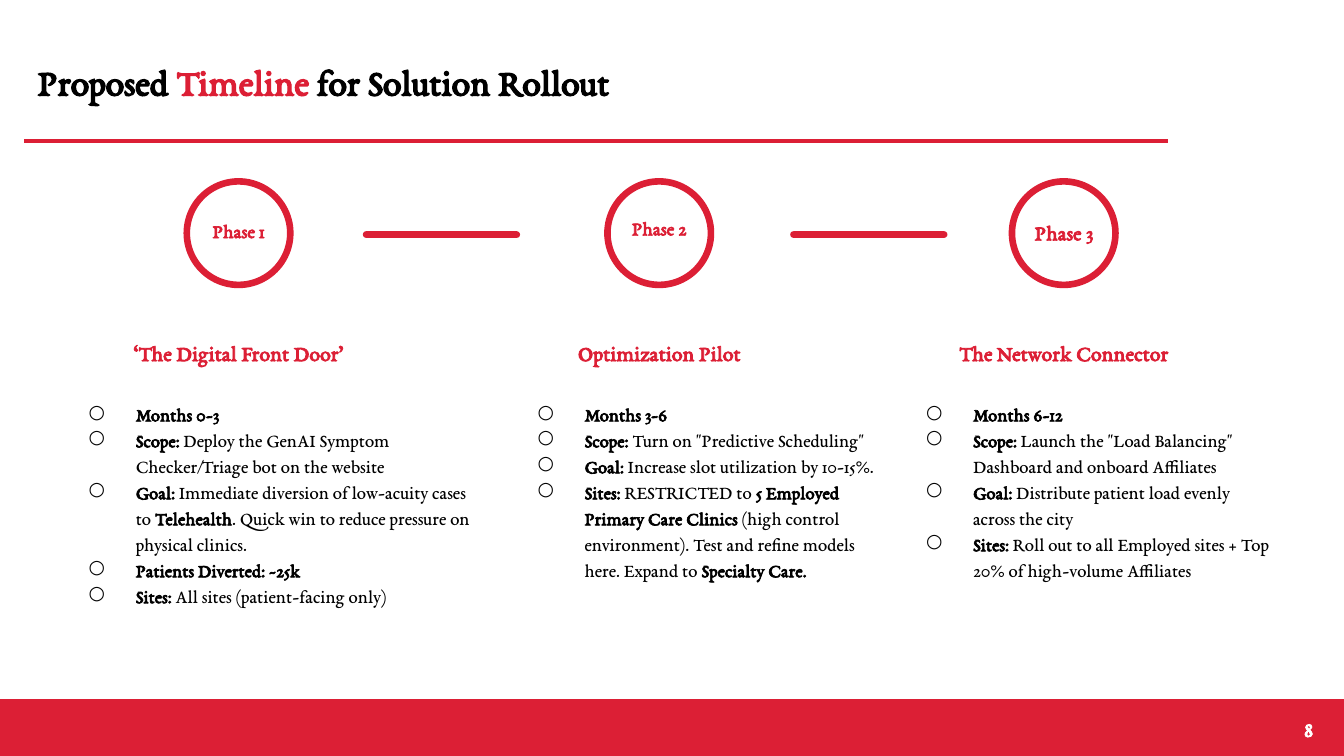
from lxml.etree import SubElement
from pptx import Presentation
from pptx.dml.color import RGBColor
from pptx.enum.shapes import MSO_CONNECTOR as Link, MSO_SHAPE as Shape
from pptx.enum.text import MSO_ANCHOR as Anchor, MSO_AUTO_SIZE as Fit, PP_ALIGN as Align
from pptx.oxml.ns import qn
from pptx.util import Inches, Pt

WIDE = 10
HIGH = WIDE * 9 / 16
CELL = WIDE / 100
COLS, ROWS = 100, HIGH / CELL
RED, BLACK, WHITE = "DC1F35", "000000", "FFFFFF"
FACE = "EB Garamond"
RING = 7.7
DASH = 11.7

PHASES = [
    dict(mid=17.75, name="Phase 1", drop=1.3, size=10.5, head="‘The Digital Front Door’",
         body=(-2.3, 38.8), items=[
             "*Months 0-3*",
             "*Scope:* Deploy the GenAI Symptom Checker/Triage bot on the website",
             "*Goal:* Immediate diversion of low-acuity cases to *Telehealth*. "
             "Quick win to reduce pressure on physical clinics.",
             "*Patients Diverted: ~25k*",
             "*Sites:* All sites (patient-facing only)"]),
    dict(mid=49.05, name="Phase 2", drop=1.1, size=10.5, head="Optimization Pilot",
         body=(31.1, 35.8), items=[
             "*Months 3-6*",
             "*Scope:* Turn on \"Predictive Scheduling\"",
             "*Goal:* Increase slot utilization by 10-15%.",
             "*Sites:* RESTRICTED to *5 Employed Primary Care Clinics* (high control "
             "environment). Test and refine models here. Expand to *Specialty Care.*"]),
    dict(mid=79.15, name="Phase 3", drop=1.3, size=11.5, head="The Network Connector",
         body=(60, 35.8), items=[
             "*Months 6-12*",
             "*Scope:* Launch the \"Load Balancing\" Dashboard and onboard Affiliates",
             "*Goal:* Distribute patient load evenly across the city",
             "*Sites:* Roll out to all Employed sites + Top 20% of high-volume Affiliates"]),
]


def grid(*cells):
    """Turn grid cells into slide lengths."""
    return [Inches(n * CELL) for n in cells]


def tint(code):
    """Turn a hex string into a colour."""
    return RGBColor.from_string(code)


def bullet(para):
    """Give a paragraph a hanging ring bullet."""
    para.level = 1
    props = para._p.get_or_add_pPr()
    props.set("marL", str(Inches(1.12)))
    props.set("indent", str(Inches(-0.35)))
    SubElement(SubElement(props, qn("a:buClr")), qn("a:srgbClr"), val=BLACK)
    SubElement(props, qn("a:buFont"), typeface=FACE)
    SubElement(props, qn("a:buChar"), char="○")


def write(shape, *lines, size=12, color=BLACK, mark=None, bold=True, align=Align.LEFT,
          anchor=Anchor.TOP, pad=0.12, space=1.15, wrap=True, dots=False):
    """Fill a shape with lines; starred parts turn bold and take the mark colour."""
    frame = shape.text_frame
    frame.auto_size = Fit.NONE
    frame.word_wrap = wrap
    frame.vertical_anchor = anchor
    frame.margin_left = frame.margin_right = Inches(pad)
    frame.margin_top = frame.margin_bottom = Inches(pad)
    for i, line in enumerate(lines):
        para = frame.add_paragraph() if i else frame.paragraphs[0]
        if dots:
            bullet(para)
        para.alignment = align
        para.line_spacing = space
        para.space_before = para.space_after = Pt(0)
        for j, part in enumerate(line.split("*")):
            if part:
                run = para.add_run()
                run.text = part
                font = run.font
                font.name, font.size = FACE, Pt(size)
                font.bold = bold or j % 2 == 1
                font.color.rgb = tint(mark if mark and j % 2 else color)


def label(slide, box, *lines, **form):
    """Add a text box with formatted lines."""
    write(slide.shapes.add_textbox(*grid(*box)), *lines, **form)


def solid(slide, kind, box, fill=RED, line=None):
    """Add a preset shape with a red fill or a red outline."""
    shape = slide.shapes.add_shape(kind, *grid(*box))
    shape.shadow.inherit = False
    if fill:
        shape.fill.solid()
        shape.fill.fore_color.rgb = tint(fill)
    else:
        shape.fill.background()
    if line:
        shape.line.color.rgb = tint(RED)
        shape.line.width = Pt(line)
    else:
        shape.line.fill.background()
    return shape


def header(slide, box):
    """Place the title and the rule below it."""
    x, y, w, h = box
    title = slide.shapes.title
    title.left, title.top, title.width, title.height = grid(x, y, w, h)
    write(title, "Proposed *Timeline *for Solution Rollout", size=20.1, mark=RED,
          anchor=Anchor.MIDDLE, pad=0.1, space=1)
    base = y + h + 0.1
    rule = slide.shapes.add_connector(Link.STRAIGHT, *grid(x, base, x + w + 2.8, base))
    rule.line.color.rgb = tint(RED)
    rule.line.width = Pt(2.25)
    SubElement(rule._element.spPr, qn("a:effectLst"))


def footer(slide, box):
    """Place the band with the page number."""
    x, y, w, h = box
    solid(slide, Shape.RECTANGLE, box, line=0.75)
    label(slide, (x + w - 7.3, y, 6, h), "8", color=WHITE, align=Align.RIGHT,
          anchor=Anchor.MIDDLE, pad=0.1, space=1)


def phase(slide, top, mid, name, drop, size, head, body, items):
    """Place one phase: ring, name, heading and bullet list."""
    left, width = body
    solid(slide, Shape.OVAL, (mid - RING / 2, top, RING, RING), fill=None, line=3.55)
    label(slide, (mid - 3.35, top + drop, 6.7, 4.2), name, size=size, color=RED,
          align=Align.CENTER, wrap=False)
    label(slide, (mid - 11.05, top + 9.1, 22.1, 5.8), head, size=11.8, color=RED,
          align=Align.CENTER, anchor=Anchor.BOTTOM)
    label(slide, (left, top + 15, width, 9.5), *items, size=10.1, bold=False, dots=True)


def track(slide, top):
    """Place the phases and the dashes between them."""
    for item in PHASES:
        phase(slide, top, **item)
    for x in (27, 58.8):
        dash = solid(slide, Shape.ROUNDED_RECTANGLE, (x, top + 3.7, DASH, 0.5))
        dash.adjustments[0] = 0.5


def main():
    """Build and save the slide."""
    deck = Presentation()
    deck.slide_width, deck.slide_height = Inches(WIDE), Inches(HIGH)
    slide = deck.slides.add_slide(deck.slide_layouts[5])
    header(slide, (1.8, 1.6, 82.3, 8.8))
    footer(slide, (0, ROWS - 4.15, COLS, 4.15))
    track(slide, 13.5)
    deck.save("out.pptx")


if __name__ == "__main__":
    main()
